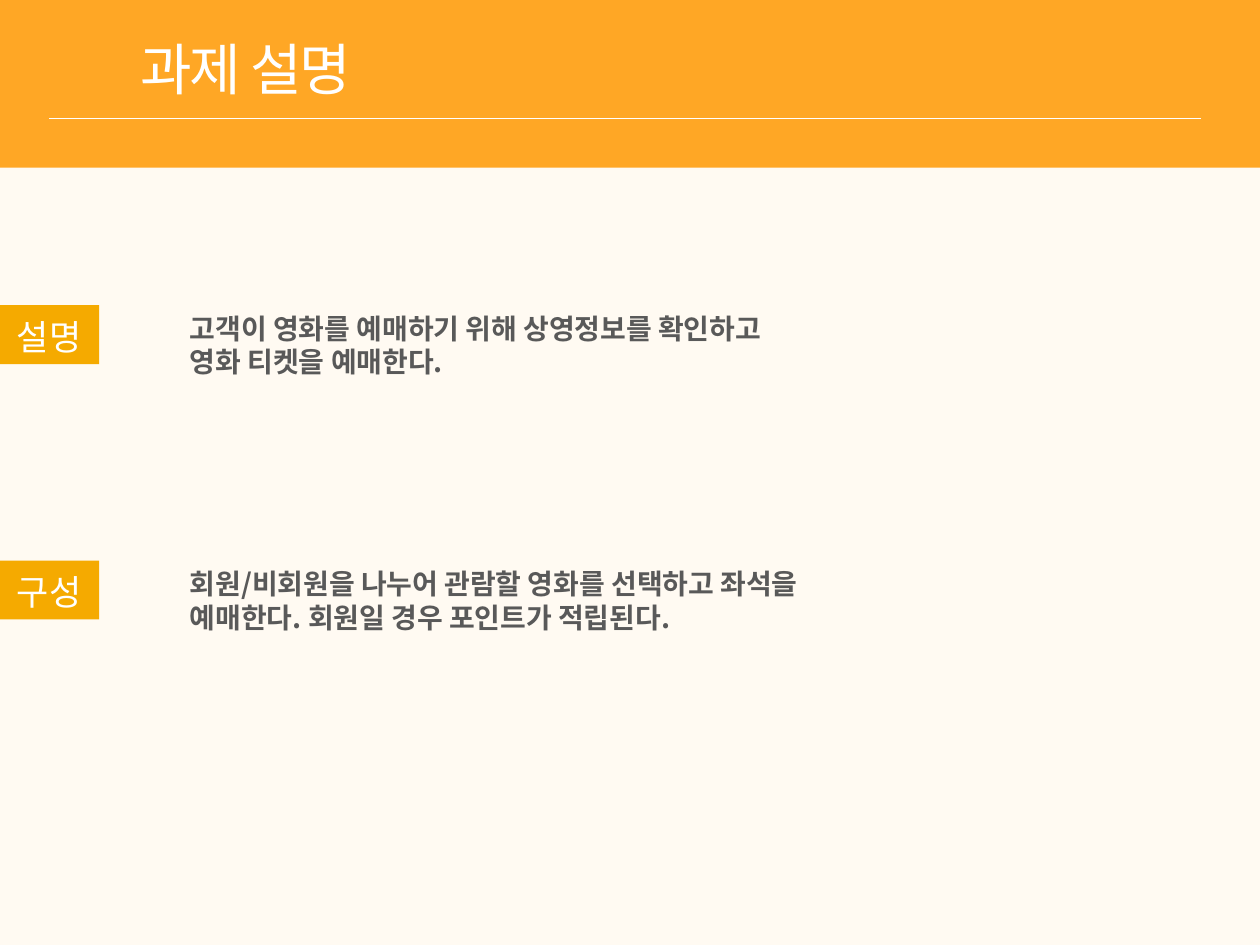
from dataclasses import dataclass

import lxml.etree
import pptx
import pptx.dml.color
import pptx.enum.shapes
import pptx.enum.text
import pptx.oxml.ns
import pptx.presentation
import pptx.slide
import pptx.util
from pptx.util import Cm


@dataclass(frozen=True)
class Theme:
    background: str = "FFFAF2"
    header: str = "FFA725"
    label: str = "F5AA00"
    white: str = "FFFFFF"
    body: str = "595959"
    title_font: str = "Noto Sans"
    body_font: str = "Noto Sans CJK KR"
    title_size: int = 32
    label_size: int = 20
    body_size: int = 16
    title_spacing: int = -150  # hundredths of a point


@dataclass(frozen=True)
class Box:
    left: float
    top: float
    width: float
    height: float

    def lengths(self) -> list[pptx.util.Length]:
        return [Cm(n) for n in (self.left, self.top, self.width, self.height)]


@dataclass(frozen=True)
class TextStyle:
    font: str
    size: int
    color: str
    bold: bool = False
    centered: bool = False
    wrap: bool = True
    spacing: int = 0


@dataclass(frozen=True)
class Section:
    label: str
    description: str
    top: float
    description_width: float


THEME = Theme()
TITLE = TextStyle(THEME.title_font, THEME.title_size, THEME.white,
                  wrap=False, spacing=THEME.title_spacing)
LABEL = TextStyle(THEME.body_font, THEME.label_size, THEME.white, centered=True)
BODY = TextStyle(THEME.body_font, THEME.body_size, THEME.body, bold=True)

SECTIONS = [
    Section("설명", "고객이 영화를 예매하기 위해 상영정보를 확인하고 영화 티켓을 예매한다.",
            6.15, 12.9),
    Section("구성", "회원/비회원을 나누어 관람할 영화를 선택하고 좌석을 예매한다. "
            "회원일 경우 포인트가 적립된다.", 11.3, 14.3),
]


def rgb(color: str) -> pptx.dml.color.RGBColor:
    return pptx.dml.color.RGBColor.from_string(color)


def add_block(slide: pptx.slide.Slide, box: Box, color: str) -> None:
    block = slide.shapes.add_shape(
        pptx.enum.shapes.MSO_SHAPE.RECTANGLE, *box.lengths())
    block.fill.solid()
    block.fill.fore_color.rgb = rgb(color)
    block.line.fill.background()
    block.shadow.inherit = False


def add_text(slide: pptx.slide.Slide, box: Box, text: str, style: TextStyle) -> None:
    frame = slide.shapes.add_textbox(*box.lengths()).text_frame
    frame.word_wrap = style.wrap
    frame.auto_size = pptx.enum.text.MSO_AUTO_SIZE.SHAPE_TO_FIT_TEXT
    paragraph = frame.paragraphs[0]
    paragraph.text = text
    if style.centered:
        paragraph.alignment = pptx.enum.text.PP_ALIGN.CENTER
    font = paragraph.font
    font.name = style.font
    font.size = pptx.util.Pt(style.size)
    font.bold = style.bold
    font.color.rgb = rgb(style.color)
    # Korean typeface and letter spacing
    properties = paragraph._p.pPr.find(pptx.oxml.ns.qn("a:defRPr"))
    if style.spacing:
        properties.set("spc", str(style.spacing))
    latin = properties.find(pptx.oxml.ns.qn("a:latin"))
    east_asian = lxml.etree.Element(pptx.oxml.ns.qn("a:ea"), typeface=style.font)
    latin.addnext(east_asian)


def add_rule(slide: pptx.slide.Slide, left: float, right: float, top: float) -> None:
    rule = slide.shapes.add_connector(
        pptx.enum.shapes.MSO_CONNECTOR.STRAIGHT, Cm(left), Cm(top), Cm(right), Cm(top))
    rule.line.color.rgb = rgb(THEME.white)
    rule.line.width = pptx.util.Pt(0.75)
    lxml.etree.SubElement(rule._element.spPr, pptx.oxml.ns.qn("a:effectLst"))


def add_section(slide: pptx.slide.Slide, section: Section) -> None:
    add_text(slide, Box(3.58, section.top, section.description_width, 1.63),
             section.description, BODY)
    add_block(slide, Box(0, section.top, 2, 1.19), THEME.label)
    add_text(slide, Box(0, section.top + 0.08, 1.98, 1.12), section.label, LABEL)


def main() -> None:
    presentation = pptx.Presentation()
    presentation.slide_width = Cm(25.4)
    presentation.slide_height = Cm(19.05)
    slide = presentation.slides.add_slide(presentation.slide_layouts[6])
    slide.background.fill.solid()
    slide.background.fill.fore_color.rgb = rgb(THEME.background)

    # Header band with title and rule
    add_block(slide, Box(0, 0, 25.4, 3.38), THEME.header)
    add_text(slide, Box(2.59, 0.58, 5.21, 1.63), "과제 설명", TITLE)
    add_rule(slide, 0.99, 24.21, 2.39)

    # Labelled sections
    for section in SECTIONS:
        add_section(slide, section)

    presentation.save("out.pptx")


if __name__ == "__main__":
    main()
